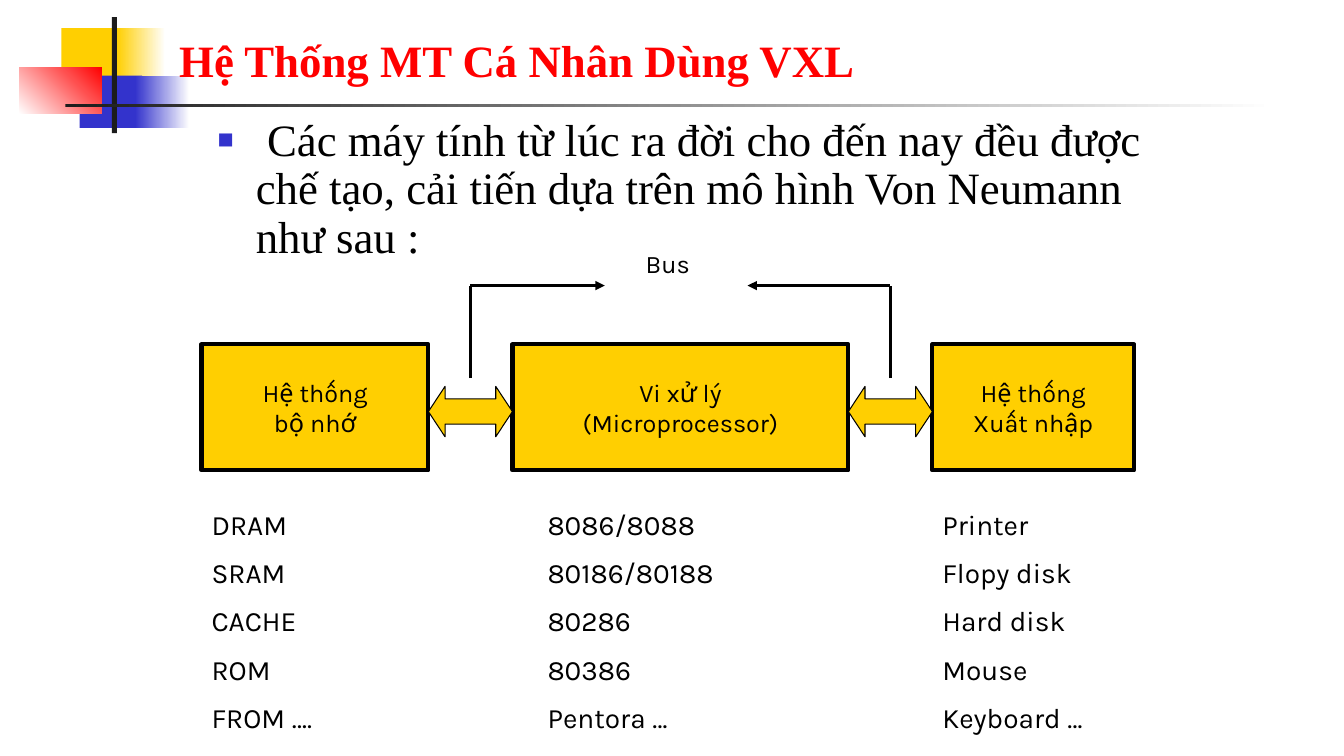
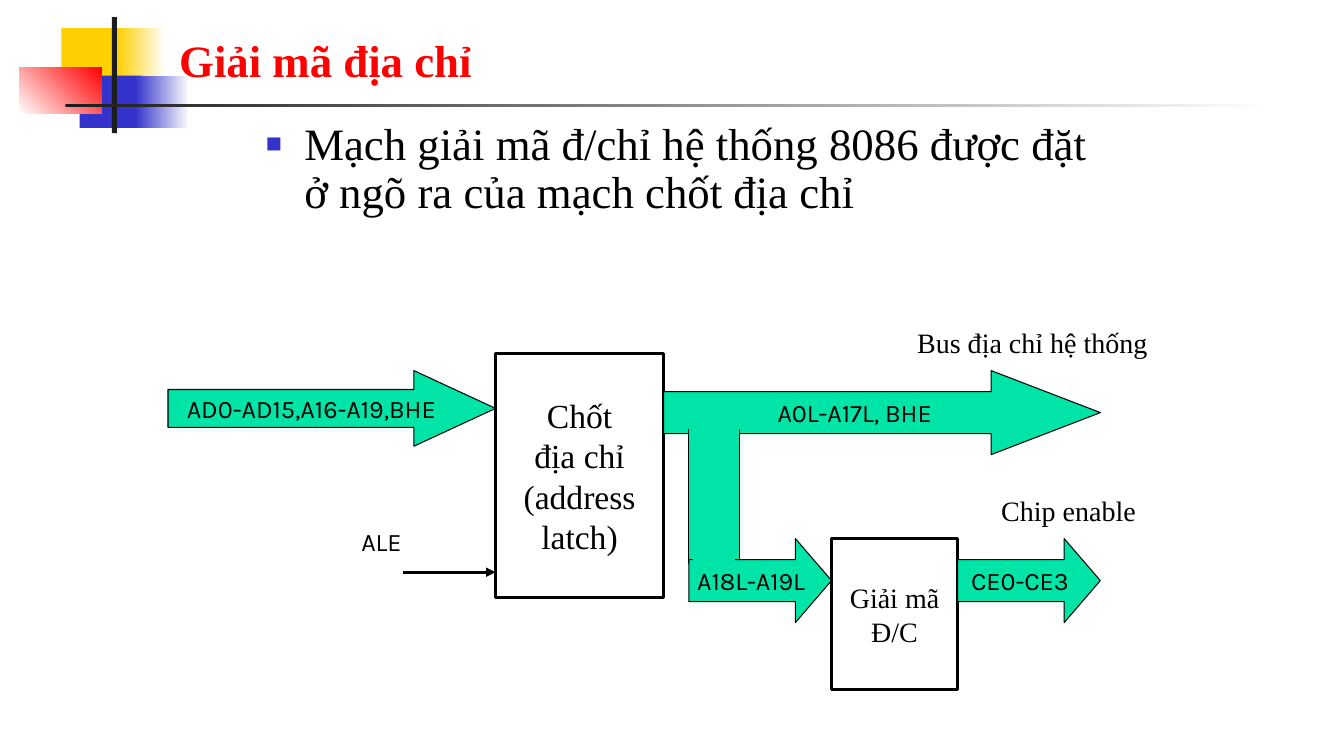
from dataclasses import dataclass
from itertools import pairwise

from lxml import etree
from pptx import Presentation
from pptx.dml.color import RGBColor
from pptx.enum.shapes import MSO_CONNECTOR, MSO_SHAPE
from pptx.enum.text import MSO_ANCHOR, PP_ALIGN
from pptx.oxml.ns import qn
from pptx.util import Emu, Inches, Pt

RECT = MSO_SHAPE.RECTANGLE
RIGHT = MSO_SHAPE.RIGHT_ARROW
BOTH = MSO_SHAPE.LEFT_RIGHT_ARROW
LINE = MSO_CONNECTOR.STRAIGHT
TOP, MID, LOW = MSO_ANCHOR.TOP, MSO_ANCHOR.MIDDLE, MSO_ANCHOR.BOTTOM
START, CENTER, END = PP_ALIGN.LEFT, PP_ALIGN.CENTER, PP_ALIGN.RIGHT
COLS, ROWS = 160, 90
CELL = Inches(1) // 12


@dataclass(frozen=True)
class Theme:
    gold: str = "FFCF01"
    blue: str = "3333CC"
    red: str = "FF0000"
    dark: str = "1C1C1C"
    mint: str = "00E4A8"
    white: str = "FFFFFF"
    black: str = "000000"
    serif: str = "Times New Roman"
    sans: str = "Karla"
    head: int = 32
    large: int = 24
    mid: int = 20
    small: int = 18
    thick: float = 3
    wire: float = 2.25
    thin: float = 0.75


T = Theme()


@dataclass(frozen=True)
class Box:
    x: float
    y: float
    w: float
    h: float

    def inner(self, x, y, w, h):
        return Box(self.x + x, self.y + y, w, h)

    def place(self):
        return [cells(n) for n in (self.x, self.y, self.w, self.h)]


def cells(n):
    return Emu(round(n * CELL))


def tint(code):
    return RGBColor.from_string(code)


def write(shape, text, size, font, align=START, anchor=TOP, wrap=True,
          gap=0, bold=False, color=T.black):
    frame = shape.text_frame
    frame.text = text
    frame.word_wrap = wrap
    frame.vertical_anchor = anchor
    for i, para in enumerate(frame.paragraphs):
        para.alignment = align
        if i and gap:
            para.space_before = Pt(gap)
        for run in para.runs:
            run.font.size = Pt(size)
            run.font.name = font
            run.font.bold = bold
            run.font.color.rgb = tint(color)
    return frame


def label(slide, box, text, size, font, **style):
    return write(slide.shapes.add_textbox(*box.place()), text, size, font, **style)


def draw(slide, box, kind=RECT, fill=None, line=0, adjust=()):
    shape = slide.shapes.add_shape(kind, *box.place())
    shape.shadow.inherit = False
    for i, value in enumerate(adjust):
        shape.adjustments[i] = value
    if fill:
        shape.fill.solid()
        shape.fill.fore_color.rgb = tint(fill)
    else:
        shape.fill.background()
    if line:
        shape.line.color.rgb = tint(T.black)
        shape.line.width = Pt(line)
    else:
        shape.line.fill.background()
    return shape


def fade(shape, first, last, angle=0):
    shape.fill.gradient()
    shape.fill.gradient_angle = angle
    for stop, code in zip(shape.fill.gradient_stops, (first, last)):
        stop.color.rgb = tint(code)


def wire(slide, box, start, end, arrow=False):
    ends = [cells(n) for x, y in (start, end) for n in (box.x + x, box.y + y)]
    link = slide.shapes.add_connector(LINE, *ends)
    link.line.color.rgb = tint(T.black)
    link.line.width = Pt(T.wire)
    props = link._element.spPr
    if arrow:
        etree.SubElement(props.find(qn("a:ln")), qn("a:tailEnd"), type="triangle")
    etree.SubElement(props, qn("a:effectLst"))


def badge(slide, box):
    for x, y, w, tail, code in ((5.04, 1.32, 7.68, 5.76, T.gold),
                                (7.2, 6.96, 7.44, 6.48, T.blue)):
        draw(slide, box.inner(x, y, w, 6.24), fill=code)
        fade(draw(slide, box.inner(x + 6.6, y, tail, 6.24)), code, T.white)
    fade(draw(slide, box.inner(0, 6, 9.84, 5.52)), T.white, T.red, 45)
    draw(slide, box.inner(11.04, 0, 0.6, 13.8), fill=T.dark)
    fade(draw(slide, box.inner(5.52, 10.32, 144, 0.36)), T.dark, T.white)


def page(deck, title):
    slide = deck.slides.add_slide(deck.slide_layouts[6])
    badge(slide, Box(2.28, 2.04, 150, 14))
    label(slide, Box(20.16, 2.76, 136.3, 8.16), title, T.head, T.serif,
          anchor=LOW, bold=True, color=T.red)
    return slide


def bullet(slide, box, text):
    para = label(slide, box, text, T.head, T.serif).paragraphs[0]
    para.line_spacing = 0.9
    props = para._p.get_or_add_pPr()
    props.set("marL", str(Inches(0.38)))
    props.set("indent", str(-Inches(0.38)))
    color = etree.SubElement(props, qn("a:buClr"))
    etree.SubElement(color, qn("a:srgbClr"), val=T.blue)
    etree.SubElement(props, qn("a:buSzPct"), val="60000")
    etree.SubElement(props, qn("a:buFont"), typeface=T.serif)
    etree.SubElement(props, qn("a:buChar"), char="■")


def model(slide, box):
    units = (
        (0, 27, "Hệ thống\nbộ nhớ", 0, "DRAM\nSRAM\nCACHE\nROM\nFROM …."),
        (37, 40, "Vi xử lý\n(Microprocessor)", 3,
         "8086/8088\n80186/80188\n80286\n80386\nPentora …"),
        (87, 24, "Hệ thống\nXuất nhập", 0,
         "Printer\nFlopy disk\nHard disk\nMouse\nKeyboard …"),
    )
    for x, w, name, shift, items in units:
        block = draw(slide, box.inner(x, 12, w, 15), fill=T.gold, line=T.thick)
        write(block, name, T.small, T.sans, CENTER, MID, wrap=False)
        label(slide, box.inner(x + shift, 30.8, 26, 29), items, T.mid, T.sans, gap=10.5)
    label(slide, box.inner(43, 0, 25, 5), "Bus", T.small, T.sans, align=CENTER)
    for (left, right), tip in zip(pairwise(units), (48, 65)):
        edge = left[0] + left[1]
        span = right[0] - edge
        draw(slide, box.inner(edge, 17, span, 6), BOTH, T.gold, T.thin, (0.5, 0.33))
        mid = edge + span / 2
        wire(slide, box, (mid, 16), (mid, 5))
        wire(slide, box, (mid, 5), (tip, 5), arrow=True)


def decode(slide, box):
    def chip(x, y, w, h, text, size):
        block = draw(slide, box.inner(x, y, w, h), line=T.wire)
        write(block, text, size, T.serif, CENTER, MID, wrap=False)

    def flow(x, y, w, h, text, tip):
        arrow = draw(slide, box.inner(x, y, w, h), RIGHT, T.mint, T.thin, (0.5, tip))
        write(arrow, text, T.small, T.sans, CENTER, MID, wrap=False)

    chip(39, 4, 20, 29, "Chốt\nđịa chỉ\n(address\nlatch)", T.large)
    wire(slide, box, (28, 30), (39, 30), arrow=True)
    label(slide, box.inner(8, 24, 21, 5), "ALE", T.small, T.sans, align=END)
    flow(0, 6, 39, 9, "AD0-AD15,A16-A19,BHE", 1.08)
    flow(59, 6, 52, 10, "A0L-A17L, BHE", 1.3)
    draw(slide, box.inner(62, 13, 6, 16), fill=T.mint, line=T.thin)
    flow(62, 26, 17, 10, "A18L-A19L", 0.43)
    chip(79, 26, 15, 18, "Giải mã\nĐ/C", T.mid)
    flow(94, 26, 17, 10, "CE0-CE3", 0.43)
    label(slide, box.inner(88, 0, 32, 5), "Bus địa chỉ hệ thống", T.mid, T.serif)
    label(slide, box.inner(98, 20, 20, 5), "Chip enable", T.mid, T.serif)
    for x, y, w in ((62, 11, 6), (62.5, 26, 5)):
        draw(slide, box.inner(x, y, w, 3), fill=T.mint)


def main():
    deck = Presentation()
    deck.slide_width, deck.slide_height = cells(COLS), cells(ROWS)

    slide = page(deck, "Hệ Thống MT Cá Nhân Dùng VXL")
    bullet(slide, Box(24.72, 13.44, 112.56, 18),
           " Các máy tính từ lúc ra đời cho đến nay đều được chế tạo, "
           "cải tiến dựa trên mô hình Von Neumann như sau :")
    model(slide, Box(24, 29, 111, 60))

    slide = page(deck, "Giải mã địa chỉ")
    decode(slide, Box(20, 38.12, 120, 44))
    bullet(slide, Box(30.48, 13.92, 102.6, 12.84),
           "Mạch giải mã đ/chỉ hệ thống 8086 được đặt ở ngõ ra của mạch chốt địa chỉ")

    deck.save("out.pptx")


if __name__ == "__main__":
    main()
